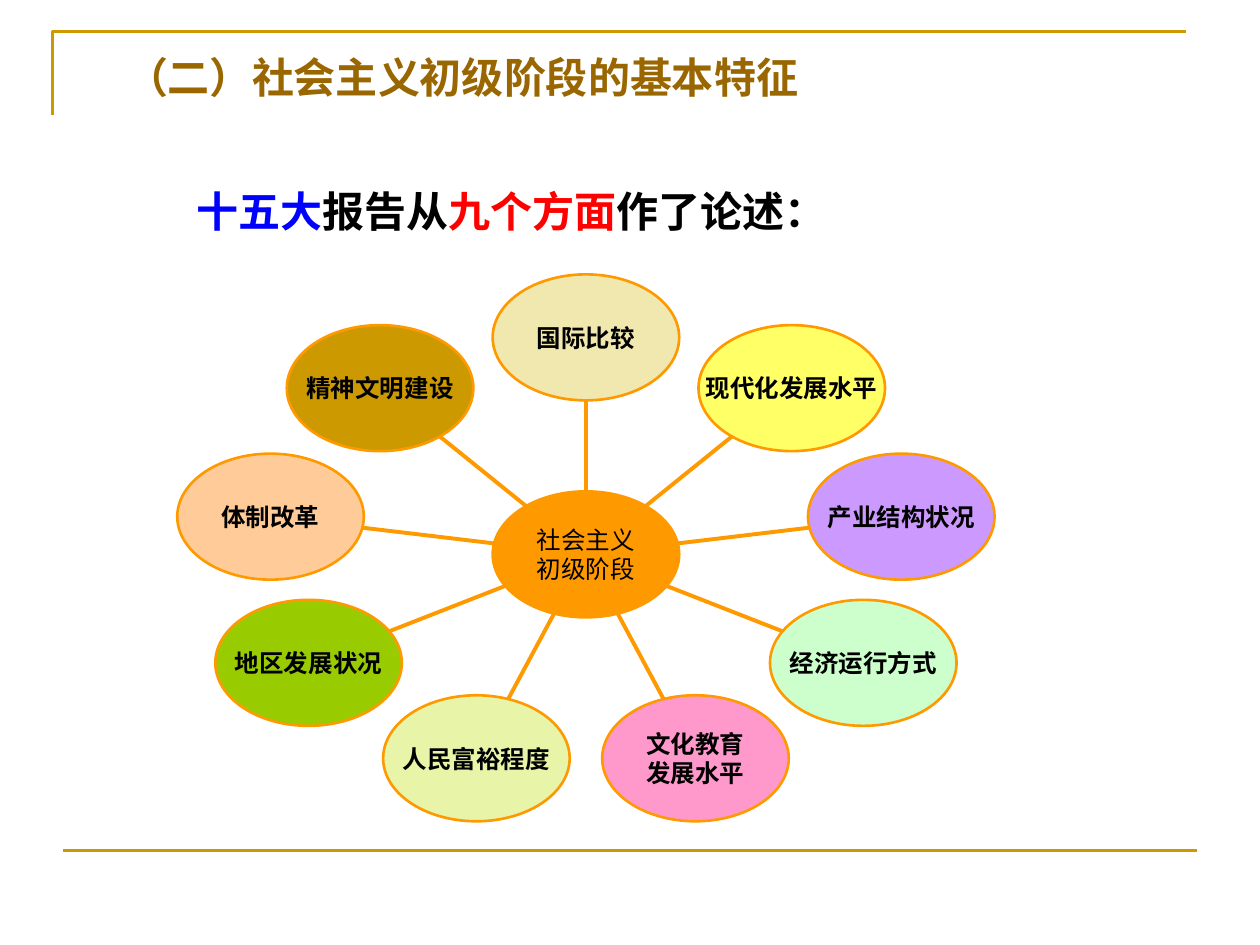
from dataclasses import dataclass
from math import cos, hypot, radians, sin

from lxml import etree
from pptx import Presentation
from pptx.dml.color import RGBColor
from pptx.enum.shapes import MSO_CONNECTOR, MSO_SHAPE
from pptx.enum.text import MSO_ANCHOR, MSO_AUTO_SIZE, PP_ALIGN
from pptx.oxml.ns import qn
from pptx.util import Pt

STRAIGHT = MSO_CONNECTOR.STRAIGHT
OVAL = MSO_SHAPE.OVAL
TOP, MIDDLE = MSO_ANCHOR.TOP, MSO_ANCHOR.MIDDLE
LEFT, CENTER = PP_ALIGN.LEFT, PP_ALIGN.CENTER
NO_AUTOFIT = MSO_AUTO_SIZE.NONE
TITLE_ONLY = 5


@dataclass(frozen=True)
class Theme:
    font: str = "Arial"
    heading_size: float = 24
    label_size: float = 14
    rule_width: float = 1.5
    spoke_width: float = 2.25
    black: str = "000000"
    blue: str = "0000FF"
    red: str = "FF0000"
    title: str = "996600"
    rule: str = "CC9900"
    orange: str = "FF9900"


THEME = Theme()

HUB_X, HUB_Y = 334.8, 316.8
ORBIT_X, ORBIT_Y = 183, 124
OVAL_W, OVAL_H = 106.6, 72

HUB_LINES = ["社会主义", "初级阶段"]
# Clockwise from the top
ASPECTS = [
    (["国际比较"], "F0E8AE"),
    (["现代化发展水平"], "FFFF66"),
    (["产业结构状况"], "CC99FF"),
    (["经济运行方式"], "CCFFCC"),
    (["文化教育", "发展水平"], "FF99CC"),
    (["人民富裕程度"], "E8F5A9"),
    (["地区发展状况"], "99CC00"),
    (["体制改革"], "FFCC99"),
    (["精神文明建设"], "CC9900"),
]


def rgb(color):
    return RGBColor.from_string(color)


def add_run(paragraph, text, size, color, bold=True):
    run = paragraph.add_run()
    run.text = text
    run.font.name = THEME.font
    run.font.size = Pt(size)
    run.font.bold = bold
    run.font.color.rgb = rgb(color)


def set_line(shape, color, width):
    shape.line.color.rgb = rgb(color)
    shape.line.width = Pt(width)


def add_line(slide, start, end, color, width):
    line = slide.shapes.add_connector(
        STRAIGHT, *(Pt(length) for length in (*start, *end)))
    set_line(line, color, width)
    etree.SubElement(line._element.spPr, qn("a:effectLst"))


def add_frame(slide):
    """Draw the corner rule round the title and the rule at the foot."""
    builder = slide.shapes.build_freeform(Pt(30), Pt(66))
    builder.add_line_segments(
        [(Pt(30), Pt(18)), (Pt(678), Pt(18))], close=False)
    corner = builder.convert_to_shape()
    corner.shadow.inherit = False
    corner.fill.background()
    set_line(corner, THEME.rule, THEME.rule_width)
    add_line(slide, (36, 486), (684, 486), THEME.rule, THEME.rule_width)


def add_title(slide):
    title = slide.shapes.title
    title.left, title.top = Pt(64.8), Pt(26)
    title.width, title.height = Pt(420), Pt(36)
    frame = title.text_frame
    frame.auto_size = NO_AUTOFIT
    frame.vertical_anchor = TOP
    heading = frame.paragraphs[0]
    heading.alignment = LEFT
    add_run(heading, "（二）社会主义初级阶段的基本特征",
            THEME.heading_size, THEME.title)


def add_lead(slide):
    box = slide.shapes.add_textbox(Pt(105), Pt(106), Pt(399), Pt(33))
    box.text_frame.word_wrap = True
    lead = box.text_frame.paragraphs[0]
    lead.line_spacing = 0.9
    for text, color in [("十五大", THEME.blue), ("报告从", THEME.black),
                        ("九个方面", THEME.red), ("作了论述：", THEME.black)]:
        add_run(lead, text, THEME.heading_size, color)


def add_oval(slide, x, y, lines, fill, bold=True):
    """Add a labelled oval centred on (x, y)."""
    oval = slide.shapes.add_shape(
        OVAL, Pt(x - OVAL_W / 2), Pt(y - OVAL_H / 2), Pt(OVAL_W), Pt(OVAL_H))
    oval.shadow.inherit = False
    oval.fill.solid()
    oval.fill.fore_color.rgb = rgb(fill)
    set_line(oval, THEME.orange, THEME.rule_width)
    frame = oval.text_frame
    frame.margin_left = frame.margin_right = 0
    frame.margin_top = frame.margin_bottom = 0
    frame.word_wrap = False
    frame.vertical_anchor = MIDDLE
    for index, text in enumerate(lines):
        label = frame.add_paragraph() if index else frame.paragraphs[0]
        label.alignment = CENTER
        add_run(label, text, THEME.label_size, THEME.black, bold)


def add_spoke(slide, dx, dy):
    """Join the rims of the hub and of the oval at offset (dx, dy)."""
    rim = 1 / hypot(dx / (OVAL_W / 2), dy / (OVAL_H / 2))
    start, end = [(HUB_X + dx * part, HUB_Y + dy * part)
                  for part in (rim, 1 - rim)]
    add_line(slide, start, end, THEME.orange, THEME.spoke_width)


def add_wheel(slide):
    for index, (lines, fill) in enumerate(ASPECTS):
        angle = radians(360 / len(ASPECTS) * index)
        dx, dy = ORBIT_X * sin(angle), -ORBIT_Y * cos(angle)
        add_spoke(slide, dx, dy)
        add_oval(slide, HUB_X + dx, HUB_Y + dy, lines, fill)
    add_oval(slide, HUB_X, HUB_Y, HUB_LINES, THEME.orange, bold=False)


def main():
    deck = Presentation()
    deck.slide_width, deck.slide_height = Pt(720), Pt(540)
    slide = deck.slides.add_slide(deck.slide_layouts[TITLE_ONLY])
    add_frame(slide)
    add_wheel(slide)
    add_lead(slide)
    add_title(slide)
    deck.save("out.pptx")


if __name__ == "__main__":
    main()
